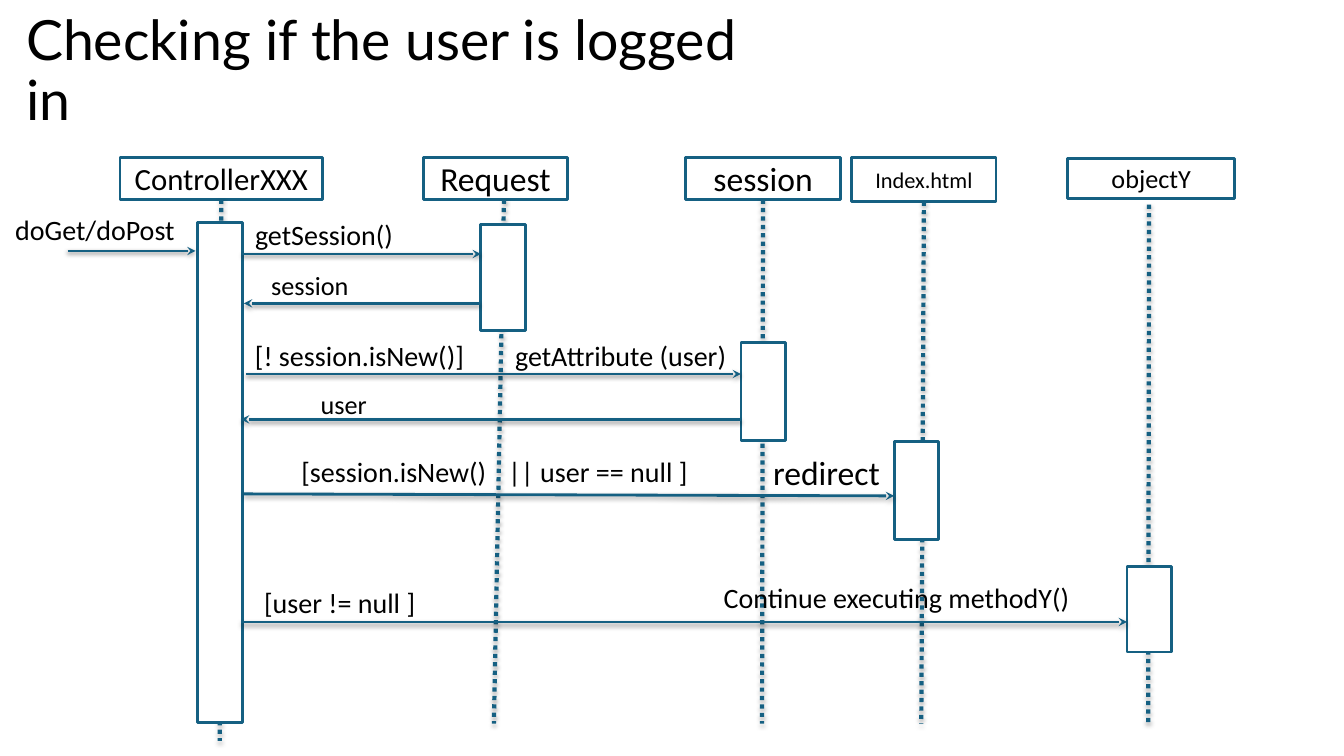
from collections import namedtuple

from lxml import etree
from pptx import Presentation
from pptx.dml.color import RGBColor
from pptx.enum.dml import MSO_LINE_DASH_STYLE as Dash
from pptx.enum.shapes import MSO_CONNECTOR as Connector, MSO_SHAPE as Shape
from pptx.enum.text import MSO_ANCHOR as Anchor, PP_ALIGN as Align
from pptx.oxml.ns import qn
from pptx.util import Inches, Pt

BLUE, BLACK, WHITE = "156082", "000000", "FFFFFF"
BOTTOM = 2

Box = namedtuple("Box", "x y w h")
Participant = namedtuple("Participant", "name size header start end bar")
Message = namedtuple("Message", "x1 y1 x2 y2")

# All places are columns and rows of a 100 by 100 grid.
# A lifeline without a start hangs from the middle of its header.
PARTICIPANTS = [
    Participant("ControllerXXX", 22, Box(8.93, 20.8, 15.08, 5.6),
                None, (16.35, 98), Box(14.7, 29.47, 3.38, 66.13)),
    Participant("Request", 24, Box(31.5, 20.8, 10.73, 5.6),
                (37.5, 26.4), (36.75, 95.73), Box(35.78, 29.73, 3.3, 14)),
    Participant("session", 24, Box(51, 20.8, 11.55, 5.6),
                None, (56.7, 95.73), Box(55.13, 45.33, 3.3, 12.93)),
    Participant("Index.html", 16, Box(63.38, 20.8, 10.73, 5.87),
                None, (68.55, 95.73), Box(66.53, 58.4, 3.3, 12.93)),
    Participant("objectY", 18.7, Box(79.43, 20.93, 12.45, 5.33),
                (85.5, 27.07), (85.43, 95.73), Box(83.85, 74.93, 3.3, 11.33)),
]

MESSAGES = [
    Message(5.03, 33.2, 14.55, 33.2),
    Message(18, 33.6, 35.78, 33.6),
    Message(35.7, 40.13, 18.15, 40.13),
    Message(18.3, 49.47, 55.13, 49.47),
    Message(55.13, 55.47, 17.93, 55.47),
    Message(18.15, 65.33, 66.53, 65.6),
    Message(17.93, 82.27, 83.85, 82.27),
]

NARROW = {"inset": (0.1, 0.05)}
LABELS = [
    ("doGet/doPost", Box(0.15, 27.2, 13.88, 5.33), {}),
    ("getSession()", Box(18, 27.87, 18.83, 5.73), {}),
    ("session", Box(19.2, 34.67, 17.55, 4.53), {"size": 18.7}),
    ("[! session.isNew()]\tgetAttribute (user)",
     Box(18, 43.87, 37.28, 4.93), {"tab": 2.58}),
    ("user", Box(22.88, 50.4, 17.55, 5.33), {"size": 18.7}),
    ("[session.isNew()\t|| user == null ]",
     Box(21.45, 59.2, 31.3, 5.87), {"tab": 2.05}),
    ("redirect", Box(56.78, 59.07, 9.53, 6.67),
     {"size": 24, "wrap": False, **NARROW}),
    ("[user != null ]", Box(18.68, 76.53, 13.35, 5.07), {}),
    ("Continue executing methodY()", Box(53.1, 76.13, 27.75, 5.87), NARROW),
]


def color(hex_value):
    return RGBColor.from_string(hex_value)


def place(area, x, y):
    """Turn a grid position into a point on the slide."""
    return int(area.x + area.w * x / 100), int(area.y + area.h * y / 100)


def place_box(area, box):
    return (*place(area, box.x, box.y),
            int(area.w * box.w / 100), int(area.h * box.h / 100))


def write(shape, text, size=20, font="Calibri", align=Align.LEFT,
          anchor=Anchor.TOP, inset=(0.13, 0.07), wrap=True, spacing=None,
          tab=None):
    frame = shape.text_frame
    frame.word_wrap = wrap
    frame.vertical_anchor = anchor
    frame.margin_left = frame.margin_right = Inches(inset[0])
    frame.margin_top = frame.margin_bottom = Inches(inset[1])
    paragraph = frame.paragraphs[0]
    paragraph.alignment = align
    if spacing:
        paragraph.line_spacing = spacing
    if tab:
        stops = etree.SubElement(paragraph._p.get_or_add_pPr(), qn("a:tabLst"))
        etree.SubElement(stops, qn("a:tab"), pos=str(Inches(tab)), algn="l")
    run = paragraph.add_run()
    run.text = text
    run.font.size = Pt(size)
    run.font.name = font
    run.font.color.rgb = color(BLACK)


def add_label(slide, area, text, box, **style):
    write(slide.shapes.add_textbox(*place_box(area, box)), text, **style)


def add_rectangle(slide, area, box):
    rectangle = slide.shapes.add_shape(Shape.RECTANGLE, *place_box(area, box))
    rectangle.shadow.inherit = False
    rectangle.fill.solid()
    rectangle.fill.fore_color.rgb = color(WHITE)
    rectangle.line.color.rgb = color(BLUE)
    rectangle.line.width = Pt(2)
    return rectangle


def add_line(slide, start, end, width, shadow_alpha, shadow_distance):
    line = slide.shapes.add_connector(Connector.STRAIGHT, *start, *end)
    line.line.color.rgb = color(BLUE)
    line.line.width = Pt(width)
    effects = etree.SubElement(line._element.spPr, qn("a:effectLst"))
    shadow = etree.SubElement(
        effects, qn("a:outerShdw"), blurRad=str(Pt(3.1)),
        dist=str(Pt(shadow_distance)), dir="5400000", rotWithShape="0")
    tint = etree.SubElement(shadow, qn("a:srgbClr"), val=BLACK)
    etree.SubElement(tint, qn("a:alpha"), val=str(shadow_alpha * 1000))
    return line


def add_participant(slide, area, participant):
    header = add_rectangle(slide, area, participant.header)
    write(header, participant.name, size=participant.size,
          align=Align.CENTER, anchor=Anchor.MIDDLE)
    end = place(area, *participant.end)
    start = place(area, *participant.start) if participant.start else end
    lifeline = add_line(slide, start, end, 3, 35, 1.8)
    lifeline.line.dash_style = Dash.ROUND_DOT
    if not participant.start:
        lifeline.begin_connect(header, BOTTOM)
    add_rectangle(slide, area, participant.bar)


def add_message(slide, area, message):
    arrow = add_line(slide, place(area, message.x1, message.y1),
                     place(area, message.x2, message.y2), 2, 38, 1.6)
    etree.SubElement(arrow.line._get_or_add_ln(), qn("a:tailEnd"),
                     type="stealth")


def add_title(slide, area):
    add_label(slide, area, "Checking if the user is logged in",
              Box(1.2, 4.53, 57.83, 10.13), size=39.6, font="Lato",
              anchor=Anchor.MIDDLE, spacing=0.9, **NARROW)


def add_sequence_diagram(slide, area):
    for participant in PARTICIPANTS:
        add_participant(slide, area, participant)
    for message in MESSAGES:
        add_message(slide, area, message)
    for text, box, style in LABELS:
        add_label(slide, area, text, box, **style)


def main():
    deck = Presentation()
    deck.slide_width, deck.slide_height = Inches(13.33), Inches(7.5)
    slide = deck.slides.add_slide(deck.slide_layouts[6])
    page = Box(0, 0, deck.slide_width, deck.slide_height)
    add_title(slide, page)
    add_sequence_diagram(slide, page)
    deck.save("out.pptx")


if __name__ == "__main__":
    main()
